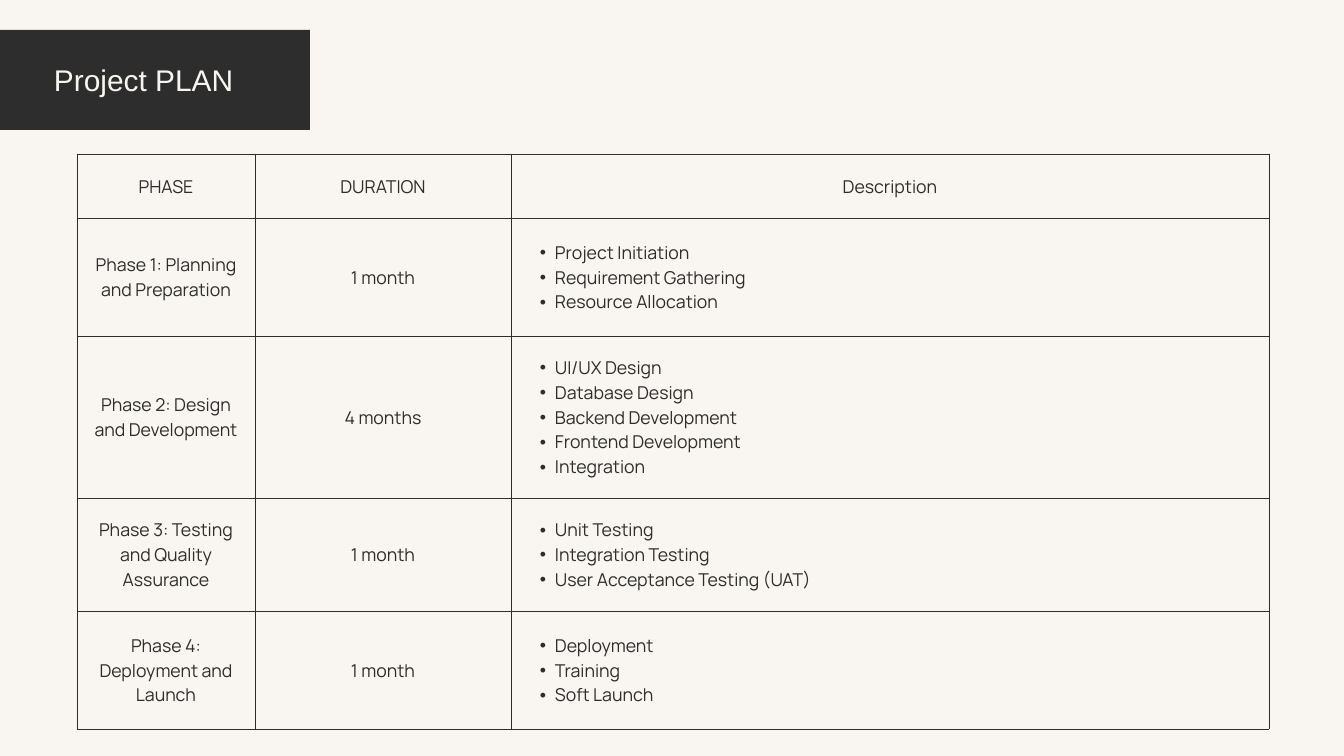
from dataclasses import dataclass

from lxml.etree import SubElement
from pptx import Presentation
from pptx.dml.color import RGBColor
from pptx.enum.shapes import MSO_SHAPE as Shape
from pptx.enum.text import MSO_ANCHOR as Anchor, PP_ALIGN as Align
from pptx.oxml.ns import qn
from pptx.util import Pt

# Content
TITLE = "Project PLAN"
HEADERS = ["PHASE", "DURATION", "Description"]
PHASES = [
    ("Phase 1: Planning and Preparation", "1 month",
     ["Project Initiation", "Requirement Gathering", "Resource Allocation"]),
    ("Phase 2: Design and Development", "4 months",
     ["UI/UX Design", "Database Design", "Backend Development",
      "Frontend Development", "Integration"]),
    ("Phase 3: Testing and Quality Assurance", "1 month",
     ["Unit Testing", "Integration Testing", "User Acceptance Testing (UAT)"]),
    ("Phase 4: Deployment and Launch", "1 month",
     ["Deployment", "Training", "Soft Launch"]),
]

# Layout in px
SLIDE = (1344, 756)
BANNER = (0, 30, 310, 100)
TITLE_BOX = (54, 56, 200, 41)
TABLE_LEFT, TABLE_TOP = 77, 154
COLUMNS = [178, 256, 758]
ROWS = [64, 118, 162, 113, 118]
CELL_INSET = 14
BULLET_INDENT, BULLET_HANG = 30, 15


@dataclass(frozen=True)
class Theme:
    paper: RGBColor = RGBColor.from_string("F9F5F0")
    ink: RGBColor = RGBColor.from_string("2D2D2D")
    title_font: str = "Arial"
    body_font: str = "Manrope"
    title_size: float = 32
    body_size: float = 19
    title_leading: float = 44.8
    body_leading: float = 26.6
    border: float = 0.75


THEME = Theme()


def px(length):
    return round(length * 914400 / 67.2)


def place(rect):
    return [px(length) for length in rect]


def style(para, name, size, leading, color):
    para.line_spacing = Pt(leading)
    para.font.name = name
    para.font.size = Pt(size)
    para.font.color.rgb = color


def add_bullet(para):
    para.level = 1
    props = para._p.get_or_add_pPr()
    props.set("marL", str(px(BULLET_INDENT)))
    props.set("indent", str(-px(BULLET_HANG)))
    SubElement(props, qn("a:buFont")).set("typeface", "Arial")
    SubElement(props, qn("a:buChar")).set("char", "•")


def add_borders(cell):
    props = cell._tc.get_or_add_tcPr()
    for side in ("a:lnL", "a:lnR", "a:lnT", "a:lnB"):
        line = SubElement(props, qn(side), w=str(Pt(THEME.border)))
        fill = SubElement(line, qn("a:solidFill"))
        SubElement(fill, qn("a:srgbClr"), val=str(THEME.ink))


def fill_cell(cell, content):
    bulleted = isinstance(content, list)
    cell.margin_left = cell.margin_right = px(CELL_INSET)
    cell.margin_top = cell.margin_bottom = px(CELL_INSET)
    cell.vertical_anchor = Anchor.MIDDLE
    add_borders(cell)
    cell.fill.background()
    cell.text = "\n".join(content) if bulleted else content
    for para in cell.text_frame.paragraphs:
        para.alignment = Align.LEFT if bulleted else Align.CENTER
        if bulleted:
            add_bullet(para)
        style(para, THEME.body_font, THEME.body_size, THEME.body_leading, THEME.ink)


def add_title(page):
    banner = page.shapes.add_shape(Shape.RECTANGLE, *place(BANNER))
    banner.shadow.inherit = False
    banner.fill.solid()
    banner.fill.fore_color.rgb = THEME.ink
    banner.line.fill.background()

    frame = page.shapes.add_textbox(*place(TITLE_BOX)).text_frame
    frame.word_wrap = True
    frame.margin_left = frame.margin_right = 0
    frame.margin_top = frame.margin_bottom = 0
    frame.text = TITLE
    style(frame.paragraphs[0], THEME.title_font, THEME.title_size,
          THEME.title_leading, THEME.paper)


def add_plan(page):
    rect = (TABLE_LEFT, TABLE_TOP, sum(COLUMNS), sum(ROWS))
    table = page.shapes.add_table(len(ROWS), len(COLUMNS), *place(rect)).table
    table.first_row = table.horz_banding = False
    for column, width in zip(table.columns, COLUMNS):
        column.width = px(width)
    for row, height, contents in zip(table.rows, ROWS, [HEADERS, *PHASES]):
        row.height = px(height)
        for cell, content in zip(row.cells, contents):
            fill_cell(cell, content)


def main():
    deck = Presentation()
    deck.slide_width, deck.slide_height = place(SLIDE)
    page = deck.slides.add_slide(deck.slide_layouts[6])
    page.background.fill.solid()
    page.background.fill.fore_color.rgb = THEME.paper
    add_title(page)
    add_plan(page)
    deck.save("out.pptx")


if __name__ == "__main__":
    main()
